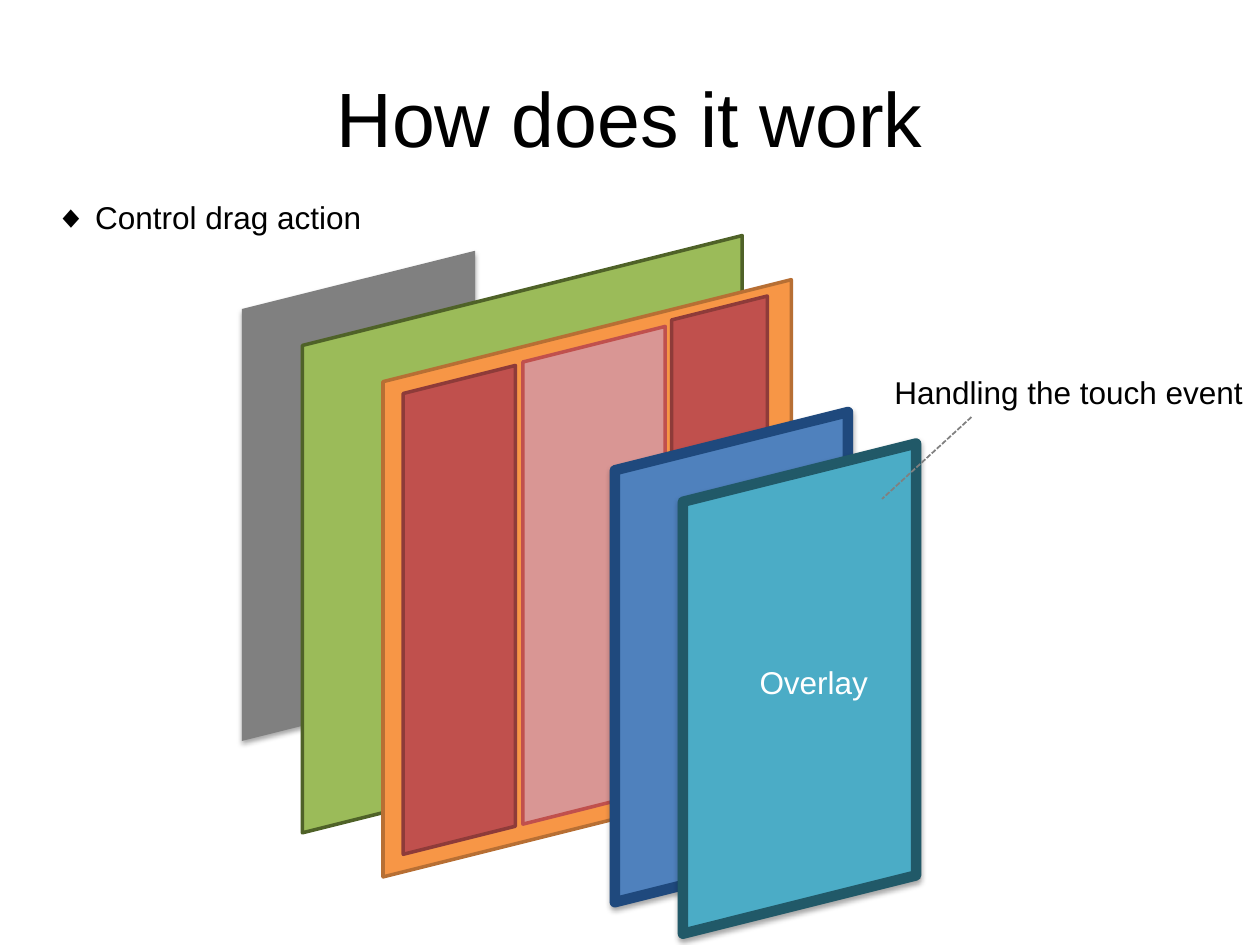
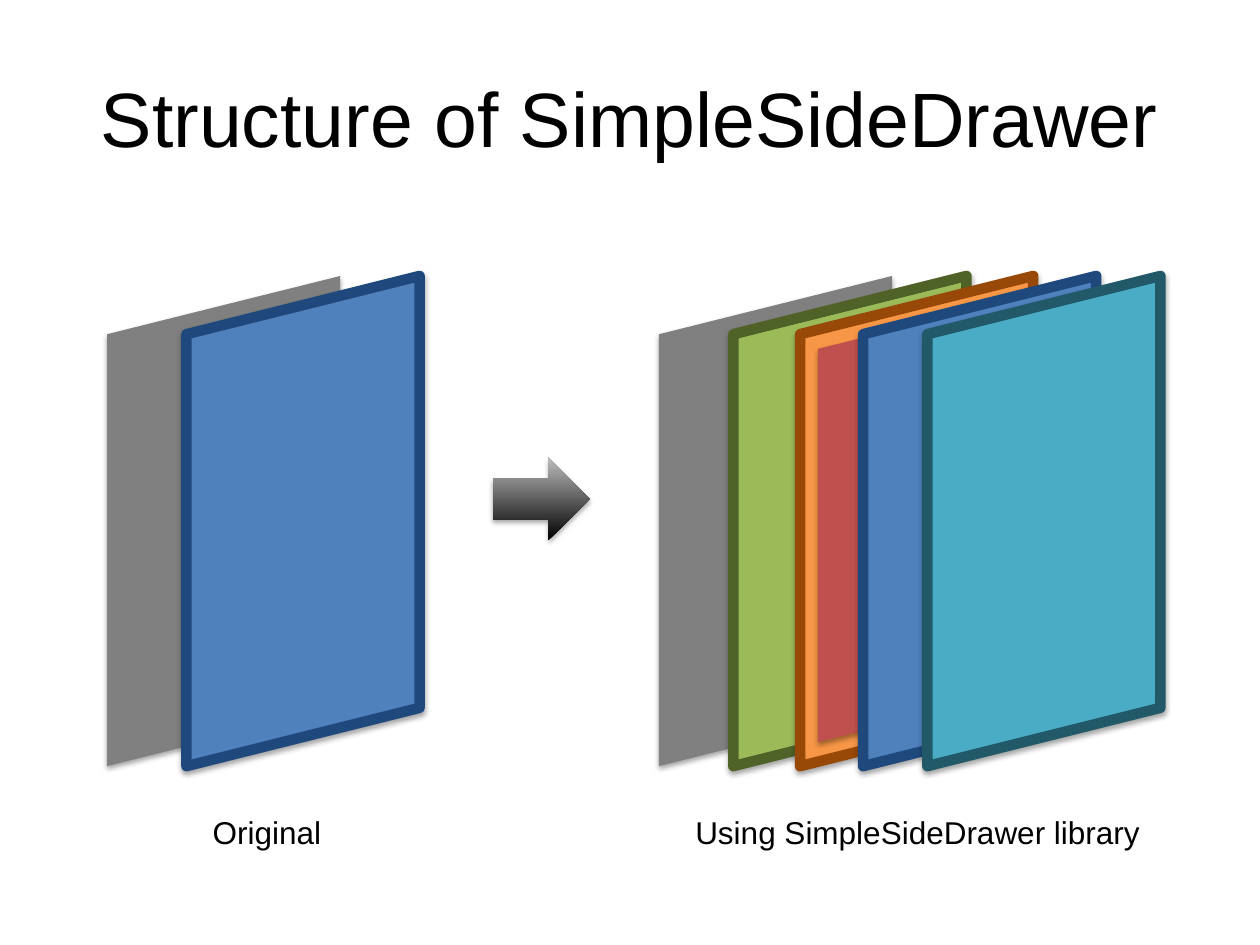
"""Builds two slides that explain a side drawer with stacked, slanted layers."""
from lxml.etree import SubElement
from pptx import Presentation
from pptx.dml.color import RGBColor
from pptx.enum.dml import MSO_LINE
from pptx.enum.shapes import MSO_CONNECTOR, MSO_SHAPE
from pptx.enum.text import MSO_ANCHOR, MSO_AUTO_SIZE, PP_ALIGN
from pptx.oxml.ns import qn
from pptx.util import Inches, Pt

COLORS = {
    "black": "000000", "white": "FFFFFF", "gray": "808080", "silver": "BDBDBD",
    "green": "9BBB59", "dark green": "4F6228",
    "orange": "F79646", "brown": "B76F34", "dark orange": "984807",
    "red": "C0504D", "dark red": "8E3B39", "pink": "D99694",
    "blue": "4F81BD", "navy": "1F497D", "teal": "4BACC6", "dark teal": "215968",
}
FONT = "Arial"
SCREEN = (1.85, 3.89)
TITLE_BOX = (0.5, 0.3, 9, 1.25)
ROW_TOP = 2.19
CAPTION_TOP = 6.4

# Each layer: left, top, (width, height), fill, edge, edge width, shadow
DRAG_LAYERS = [
    (1.92, 1.99, SCREEN, "gray", None, 0, True),
    (2.4, 1.87, (3.49, 4.74), "green", "dark green", 2, False),
    (3.04, 2.22, (3.24, 4.74), "orange", "brown", 2, False),
    (3.2, 2.9, (0.89, 3.88), "red", "dark red", 2, False),
    (5.33, 2.35, (0.76, 3.9), "red", "dark red", 2, False),
    (4.15, 2.59, (1.13, 3.95), "pink", "red", 2, False),
    (4.88, 3.27, SCREEN, "blue", "navy", 6, True),
    (5.42, 3.52, SCREEN, "teal", "dark teal", 6, True),
]
STRUCTURE_LAYERS = [
    (0.85, ROW_TOP, SCREEN, "gray", None, 0, True),
    (1.48, ROW_TOP, SCREEN, "blue", "navy", 6, True),
    (5.23, ROW_TOP, SCREEN, "gray", None, 0, True),
    (5.82, ROW_TOP, SCREEN, "green", "dark green", 6, True),
    (6.35, ROW_TOP, SCREEN, "orange", "dark orange", 6, True),
    (6.49, 2.45, (1.28, 3.44), "red", None, 0, True),
    (6.85, ROW_TOP, SCREEN, "blue", "navy", 6, True),
    (7.36, ROW_TOP, SCREEN, "teal", "dark teal", 6, True),
]
DRAG_LABELS = [
    ("◆ Control drag action", (0.34, 1.52, 2.66, 0.4), {}),
    ("Overlay", (5.93, 5.21, 1.07, 0.4), {"color": "white", "fill": "teal"}),
    ("Handling the touch event", (7, 2.91, 2.99, 0.4), {}),
]
STRUCTURE_LABELS = [
    ("Original", (1.59, CAPTION_TOP, 1.07, 0.4), {}),
    ("Using SimpleSideDrawer library", (5.42, CAPTION_TOP, 3.77, 0.4), {}),
]
SLIDES = [
    ("How does it work", DRAG_LAYERS, DRAG_LABELS),
    ("Structure of SimpleSideDrawer", STRUCTURE_LAYERS, STRUCTURE_LABELS),
]
TOUCH_POINTER = (7.71, 3.31, 7, 3.96)
CHANGE_ARROW = (3.91, 3.63, 0.77, 0.66)


def rgb(name):
    return RGBColor.from_string(COLORS[name])


def inches(box):
    return [Inches(length) for length in box]


def add_text(slide, text, box, size=18, color="black", fill=None,
             align=PP_ALIGN.LEFT, anchor=MSO_ANCHOR.TOP, wrap=False):
    label = slide.shapes.add_textbox(*inches(box))
    if fill:
        label.fill.solid()
        label.fill.fore_color.rgb = rgb(fill)
    frame = label.text_frame
    frame.word_wrap = wrap
    frame.auto_size = MSO_AUTO_SIZE.NONE if wrap else MSO_AUTO_SIZE.SHAPE_TO_FIT_TEXT
    frame.vertical_anchor = anchor
    paragraph = frame.paragraphs[0]
    paragraph.alignment = align
    run = paragraph.add_run()
    run.text = text
    run.font.name = FONT
    run.font.size = Pt(size)
    run.font.color.rgb = rgb(color)


def set_shadow(shape, visible):
    shape.shadow.inherit = False
    if visible:
        effects = shape._element.spPr.find(qn("a:effectLst"))
        outer = SubElement(effects, qn("a:outerShdw"), blurRad=str(Pt(3.1)),
                           dist=str(Pt(1.8)), dir="5400000", rotWithShape="0")
        tone = SubElement(outer, qn("a:srgbClr"), val=COLORS["black"])
        SubElement(tone, qn("a:alpha"), val="35000")


def add_layer(slide, left, top, size, fill, edge, edge_width, shadow):
    width, height = size
    shift = (height - width) / 2
    layer = slide.shapes.add_shape(
        MSO_SHAPE.PARALLELOGRAM, *inches((left - shift, top + shift, height, width)))
    layer.rotation = 90
    layer._element.spPr.find(qn("a:xfrm")).set("flipV", "1")
    layer.fill.solid()
    layer.fill.fore_color.rgb = rgb(fill)
    if edge:
        layer.line.color.rgb = rgb(edge)
        layer.line.width = Pt(edge_width)
    else:
        layer.line.fill.background()
    set_shadow(layer, shadow)


def add_pointer(slide, ends):
    pointer = slide.shapes.add_connector(MSO_CONNECTOR.STRAIGHT, *inches(ends))
    pointer.line.color.rgb = rgb("gray")
    pointer.line.width = Pt(1)
    pointer.line.dash_style = MSO_LINE.SQUARE_DOT
    SubElement(pointer._element.spPr, qn("a:effectLst"))


def add_change_arrow(slide, box):
    arrow = slide.shapes.add_shape(MSO_SHAPE.RIGHT_ARROW, *inches(box))
    arrow.fill.gradient()
    arrow.fill.gradient_angle = 90
    for stop, color in zip(arrow.fill.gradient_stops, ("black", "silver")):
        stop.color.rgb = rgb(color)
    arrow.line.fill.background()
    set_shadow(arrow, True)


def main():
    deck = Presentation()
    deck.slide_width, deck.slide_height = Inches(10), Inches(7.5)
    for title, layers, labels in SLIDES:
        slide = deck.slides.add_slide(deck.slide_layouts[6])
        add_text(slide, title, TITLE_BOX, size=44, align=PP_ALIGN.CENTER,
                 anchor=MSO_ANCHOR.MIDDLE, wrap=True)
        for layer in layers:
            add_layer(slide, *layer)
        for text, box, style in labels:
            add_text(slide, text, box, **style)
    drag_slide, structure_slide = deck.slides
    add_pointer(drag_slide, TOUCH_POINTER)
    add_change_arrow(structure_slide, CHANGE_ARROW)
    deck.save("out.pptx")


if __name__ == "__main__":
    main()
